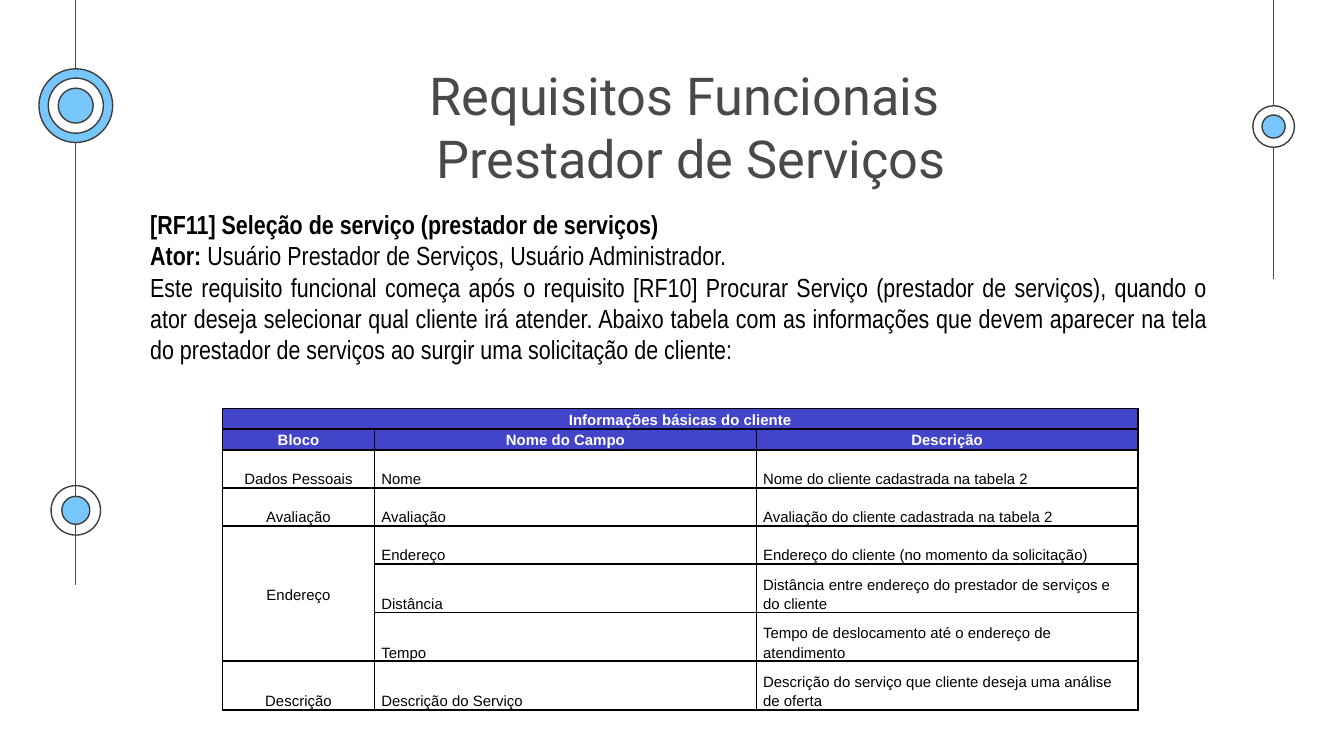
from lxml.etree import SubElement
from pptx import Presentation
from pptx.dml.color import RGBColor
from pptx.enum.shapes import MSO_CONNECTOR, MSO_SHAPE
from pptx.enum.text import MSO_ANCHOR as Anchor, MSO_AUTO_SIZE as AutoSize, PP_ALIGN as Align
from pptx.oxml import parse_xml
from pptx.oxml.ns import nsdecls, qn
from pptx.util import Pt

BLACK = RGBColor(0x00, 0x00, 0x00)
WHITE = RGBColor(0xFF, 0xFF, 0xFF)
GRAY = RGBColor(0x49, 0x49, 0x49)
RING = RGBColor(0x3D, 0x3D, 0x3D)
SKY = RGBColor(0x77, 0xC6, 0xFC)
INDIGO = RGBColor(0x42, 0x45, 0xCA)

TITLE = "Requisitos Funcionais \vPrestador de Serviços"

# Each paragraph is a list of (text, bold)
BODY = [
    [("[RF11] Seleção de serviço (prestador de serviços)", True)],
    [("Ator: ", True), ("Usuário Prestador de Serviços, Usuário Administrador.", False)],
    [("Este requisito funcional começa após o requisito [RF10] Procurar Serviço "
      "(prestador de serviços), quando o ator deseja selecionar qual cliente irá atender. "
      "Abaixo tabela com as informações que devem aparecer na tela do prestador de serviços "
      "ao surgir uma solicitação de cliente:", False)],
]

HEADER_ROWS = 2
TABLE = [
    ("Informações básicas do cliente", "", ""),
    ("Bloco", "Nome do Campo", "Descrição"),
    ("Dados Pessoais", "Nome", "Nome do cliente cadastrada na tabela 2"),
    ("Avaliação", "Avaliação", "Avaliação do cliente cadastrada na tabela 2"),
    ("Endereço", "Endereço", "Endereço do cliente (no momento da solicitação)"),
    ("", "Distância", "Distância entre endereço do prestador de serviços e do cliente"),
    ("", "Tempo", "Tempo de deslocamento até o endereço de atendimento"),
    ("Descrição", "Descrição do Serviço",
     "Descrição do serviço que cliente deseja uma análise de oferta"),
]
MERGES = [((0, 0), (0, 2)), ((4, 0), (6, 0))]
COLUMN_WIDTHS = [81.5, 204.5, 204.5]
ROW_HEIGHTS = [10.1] * 2 + [20.4] * 3 + [26.1] * 3

# Vertical lines: (x, bottom)
LEFT_X, RIGHT_X = 40.6, 682.3
TIMELINES = [(LEFT_X, 313.2), (RIGHT_X, 149.4)]
# Concentric circles: (x, y, [(diameter, fill), ...])
TARGETS = [
    (LEFT_X, 56.6, [(39.5, SKY), (29.5, WHITE), (18.7, SKY)]),
    (LEFT_X, 273.4, [(26.5, None), (15, SKY)]),
    (RIGHT_X, 67.8, [(22.3, WHITE), (12.4, SKY)]),
]


def add_timeline(slide, x, bottom):
    line = slide.shapes.add_connector(MSO_CONNECTOR.STRAIGHT, Pt(x), 0, Pt(x), Pt(bottom))
    line.line.color.rgb = GRAY
    line.line.width = Pt(0.75)
    SubElement(line._element.spPr, qn("a:effectLst"))


def add_target(slide, x, y, circles):
    for diameter, fill in circles:
        circle = slide.shapes.add_shape(
            MSO_SHAPE.OVAL, Pt(x - diameter / 2), Pt(y - diameter / 2), Pt(diameter), Pt(diameter))
        circle.shadow.inherit = False
        circle.line.color.rgb = RING
        circle.line.width = Pt(0.75)
        if fill is None:
            circle.fill.background()
        else:
            circle.fill.solid()
            circle.fill.fore_color.rgb = fill


def format_font(font, name, size, color, bold=False):
    font.name = name
    font.size = Pt(size)
    font.color.rgb = color
    font.bold = bold


def add_title(slide):
    title = slide.shapes.title
    title.left, title.top, title.width, title.height = Pt(220.3), Pt(26.6), Pt(299.5), Pt(45.4)
    frame = title.text_frame
    frame.text = TITLE
    frame.auto_size = AutoSize.NONE
    frame.vertical_anchor = Anchor.TOP
    frame.margin_left = frame.margin_right = frame.margin_top = frame.margin_bottom = Pt(7.2)
    paragraph = frame.paragraphs[0]
    paragraph.alignment = Align.CENTER
    paragraph.line_spacing = 1.0
    paragraph.space_before = Pt(0)
    for run in paragraph.runs:
        format_font(run.font, "Roboto", 28, GRAY)


def add_body(slide):
    box = slide.shapes.add_textbox(Pt(73.4), Pt(108), Pt(581), Pt(108.7))
    frame = box.text_frame
    frame.word_wrap = True
    for index, parts in enumerate(BODY):
        paragraph = frame.add_paragraph() if index else frame.paragraphs[0]
        paragraph.alignment = Align.JUSTIFY
        for text, bold in parts:
            run = paragraph.add_run()
            run.text = text
            format_font(run.font, "Arial Narrow", 14, BLACK, bold)


def add_borders(cell):
    properties = cell._tc.get_or_add_tcPr()
    for index, side in enumerate(("lnL", "lnR", "lnT", "lnB")):
        properties.insert(index, parse_xml(
            f'<a:{side} {nsdecls("a")} w="{Pt(1)}"><a:solidFill>'
            f'<a:srgbClr val="{BLACK}"/></a:solidFill></a:{side}>'))


def format_cell(cell, is_header, is_centered):
    cell.margin_left = cell.margin_right = Pt(3.6)
    cell.margin_top = cell.margin_bottom = 0
    cell.vertical_anchor = Anchor.MIDDLE if is_header or cell.is_merge_origin else Anchor.BOTTOM
    if is_header:
        cell.fill.solid()
        cell.fill.fore_color.rgb = INDIGO
    else:
        cell.fill.background()
    add_borders(cell)
    paragraph = cell.text_frame.paragraphs[0]
    paragraph.alignment = Align.CENTER if is_centered else Align.LEFT
    paragraph.line_spacing = 1.15
    format_font(paragraph.font, "Arial", 8, WHITE if is_header else BLACK, is_header)
    for run in paragraph.runs:
        format_font(run.font, "Arial", 8, WHITE if is_header else BLACK, is_header)


def add_client_table(slide):
    table = slide.shapes.add_table(
        len(TABLE), len(COLUMN_WIDTHS), Pt(119.2), Pt(218.9),
        Pt(sum(COLUMN_WIDTHS)), Pt(sum(ROW_HEIGHTS))).table
    for column, width in zip(table.columns, COLUMN_WIDTHS):
        column.width = Pt(width)
    for row, height in zip(table.rows, ROW_HEIGHTS):
        row.height = Pt(height)
    for first, last in MERGES:
        table.cell(*first).merge(table.cell(*last))
    for row_index, texts in enumerate(TABLE):
        is_header = row_index < HEADER_ROWS
        for column_index, text in enumerate(texts):
            cell = table.cell(row_index, column_index)
            cell.text_frame.text = text
            format_cell(cell, is_header, is_header or column_index == 0)


def main():
    presentation = Presentation()
    presentation.slide_width, presentation.slide_height = Pt(720), Pt(405)
    slide = presentation.slides.add_slide(presentation.slide_layouts[5])
    for timeline in TIMELINES:
        add_timeline(slide, *timeline)
    for target in TARGETS:
        add_target(slide, *target)
    add_title(slide)
    add_body(slide)
    add_client_table(slide)
    presentation.save("out.pptx")


if __name__ == "__main__":
    main()
